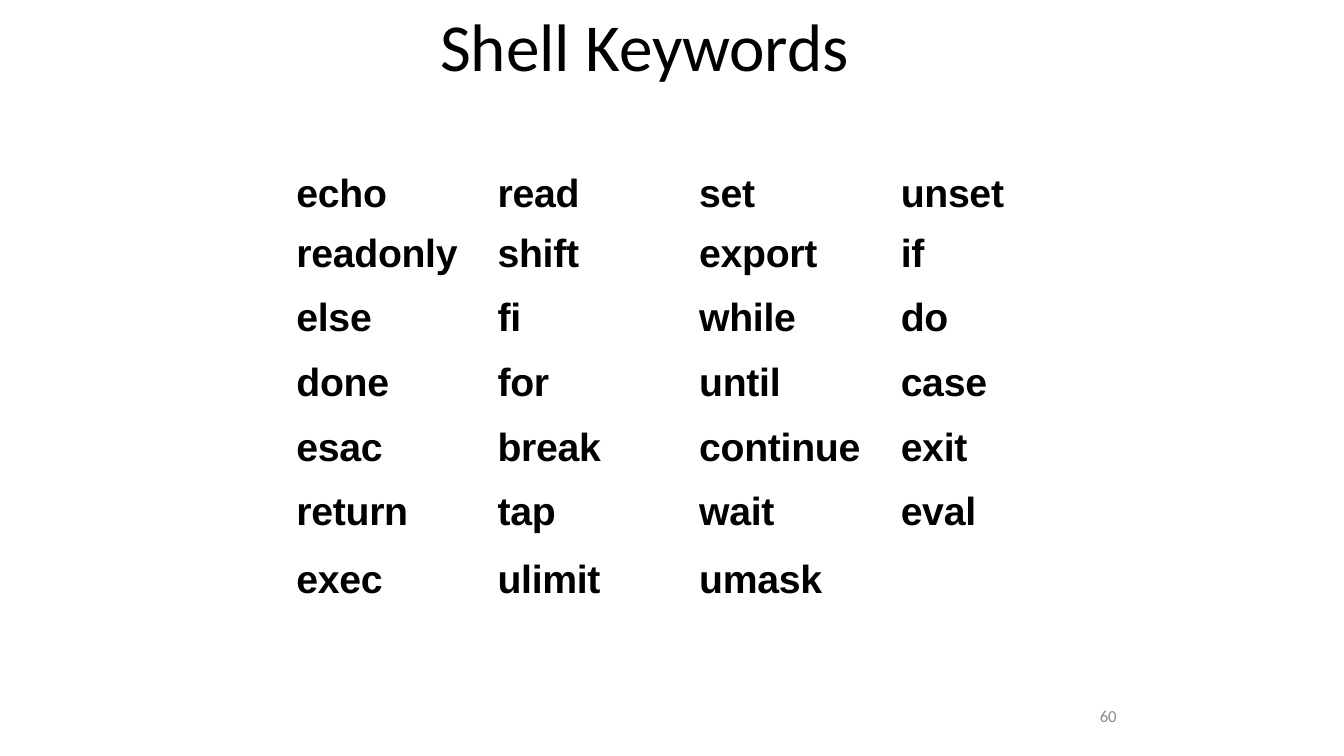
from pptx import Presentation
from pptx.dml.color import RGBColor
from pptx.enum.text import MSO_ANCHOR, PP_ALIGN
from pptx.util import Cm, Pt

LEFT, RIGHT = PP_ALIGN.LEFT, PP_ALIGN.RIGHT
MIDDLE = MSO_ANCHOR.MIDDLE
TITLE_ONLY = 5
COLORS = {"text": "000000", "number": "8C8C8C"}
KEYWORDS = [
    ["echo", "read", "set", "unset"],
    ["readonly", "shift", "export", "if"],
    ["else", "fi", "while", "do"],
    ["done", "for", "until", "case"],
    ["esac", "break", "continue", "exit"],
    ["return", "tap", "wait", "eval"],
    ["exec", "ulimit", "umask"],
]
COL_WIDTHS = [4.67, 4.34, 5.82, 3.2]
COL_INDENTS = [0.08, 0.48, 1.22, 0.48]
ROW_HEIGHTS = [1.35] + [1.63] * 5 + [1.35]


def add_run(p, text, size, font, color, bold=False, spacing=0):
    """Append a formatted run, with letter spacing in points."""
    r = p.add_run()
    r.text = text
    r.font.size = Pt(size)
    r.font.name = font
    r.font.bold = bold
    r.font.color.rgb = RGBColor.from_string(COLORS[color])
    if spacing:
        r._r.get_or_add_rPr().set("spc", str(round(spacing * 100)))


def set_frame(tf):
    """Clear the margins of a text frame and centre it vertically."""
    tf.margin_left = tf.margin_top = tf.margin_right = tf.margin_bottom = 0
    tf.vertical_anchor = MIDDLE
    tf.word_wrap = True


def add_title(slide, left, top, width, height):
    """Place and fill the title placeholder."""
    sp = slide.shapes.title
    sp.left, sp.top, sp.width, sp.height = left, top, width, height
    set_frame(sp.text_frame)
    p = sp.text_frame.paragraphs[0]
    p.alignment = LEFT
    p.space_before = Pt(1)
    add_run(p, "Shell ", 48, "Calibri", "text")
    add_run(p, "Keywords", 48, "Calibri", "text", spacing=-0.1)


def add_keyword_table(slide, left, top, width, height):
    """Add the unruled table of keywords."""
    table = slide.shapes.add_table(
        len(KEYWORDS), len(COL_WIDTHS), left, top, width, height).table
    table.first_row = table.horz_banding = False
    for col, col_width in zip(table.columns, COL_WIDTHS):
        col.width = Cm(col_width)
    for row, row_height in zip(table.rows, ROW_HEIGHTS):
        row.height = Cm(row_height)
    for cell in table.iter_cells():
        cell.fill.background()
        cell.margin_top = cell.margin_right = cell.margin_bottom = 0
    for i, words in enumerate(KEYWORDS):
        for j, word in enumerate(words):
            cell = table.cell(i, j)
            cell.margin_left = Cm(COL_INDENTS[j])
            p = cell.text_frame.paragraphs[0]
            if i == 0:
                p.line_spacing = Pt(30.9)
            else:
                cell.margin_top = Cm(0.15)
                p.space_before = Pt(4.6)
            if i == len(KEYWORDS) - 1:
                p.line_spacing = Pt(33)
            add_run(p, word, 28, "Arial", "text", bold=True, spacing=-0.2)


def add_slide_number(slide, left, top, width, height):
    """Add the slide number at the lower right."""
    tf = slide.shapes.add_textbox(left, top, width, height).text_frame
    set_frame(tf)
    p = tf.paragraphs[0]
    p.alignment = RIGHT
    p.line_spacing = Pt(20.9)
    add_run(p, "60", 12, "Calibri", "number", spacing=-0.2)


def main():
    """Build and save the slide."""
    prs = Presentation()
    prs.slide_width, prs.slide_height = Cm(33.87), Cm(19.05)
    slide = prs.slides.add_slide(prs.slide_layouts[TITLE_ONLY])
    add_title(slide, Cm(11.09), Cm(0.08), Cm(12.65), Cm(2.11))
    add_keyword_table(slide, Cm(7.39), Cm(4.34), Cm(18.03), Cm(10.85))
    add_slide_number(slide, Cm(27.2), Cm(17.55), Cm(0.94), Cm(0.74))
    prs.save("out.pptx")


if __name__ == "__main__":
    main()
